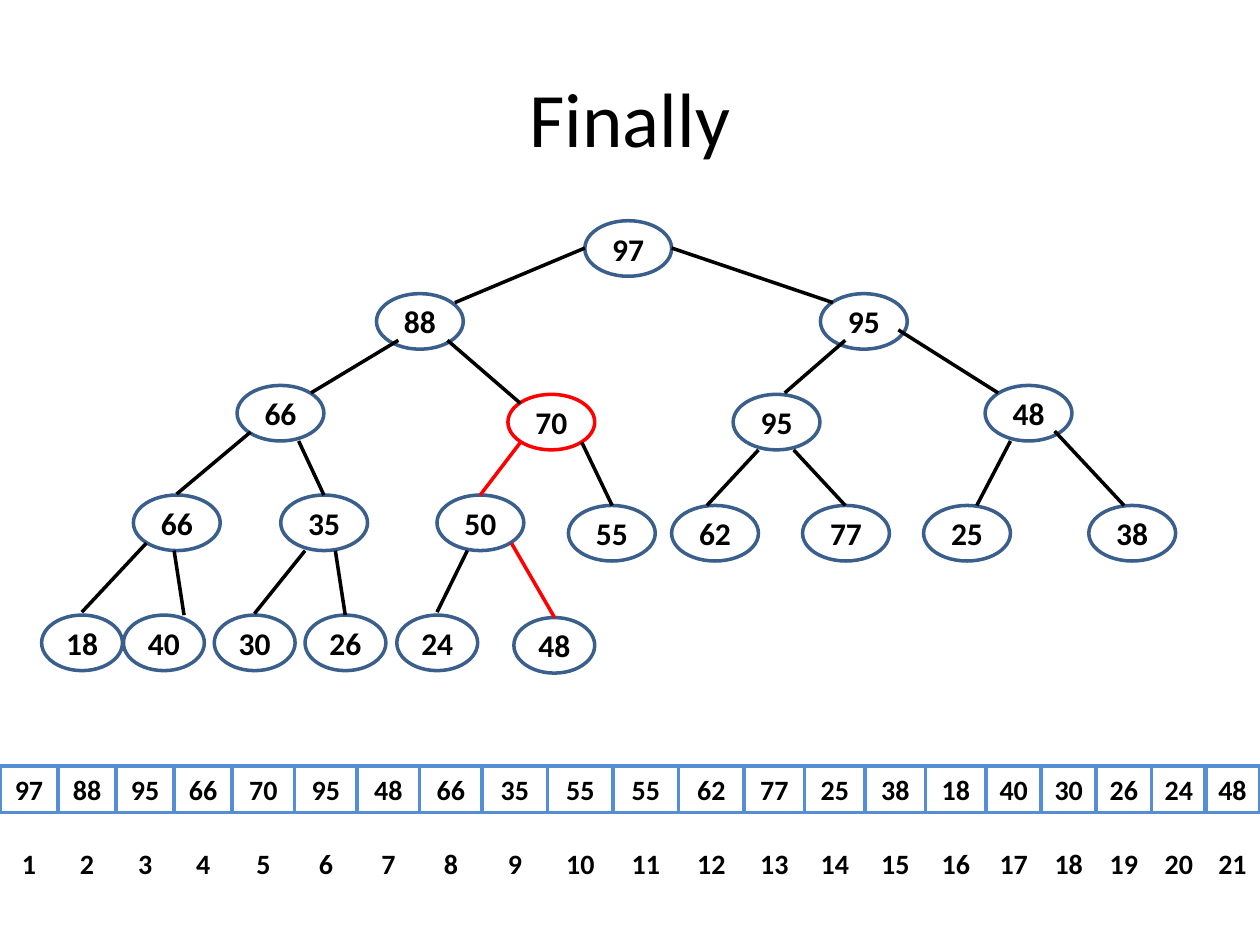
from pptx import Presentation, util as u
from pptx.dml.color import RGBColor
from pptx.enum import shapes, text
from pptx.oxml.ns import qn
from lxml import etree

TITLE = "Finally"
BLACK, WHITE, RED = "000000", "FFFFFF", "FF0000"
NODE_BLUE, CELL_BLUE = "3A5F8C", "558ED5"
SLIDE_WIDTH, SLIDE_HEIGHT = 25.4, 19.05
NODE_WIDTH, LEAF_WIDTH, NODE_HEIGHT = 1.75, 1.63, 1.12
CELL_HEIGHT = 0.94

HEAP = [97, 88, 95, 66, 70, 95, 48, 66, 35, 55, 55, 62, 77, 25, 38, 18, 40, 30, 26, 24, 48]
CELL_WIDTHS = [1.17] * 4 + [1.26] * 4 + [1.32] * 4 + [1.22] * 4 + [1.11] * 5
ROWS = [
    (15.44, CELL_BLUE, HEAP),
    (16.94, WHITE, range(1, len(HEAP) + 1)),
]

LEVELS = [
    (NODE_WIDTH, [(97, 11.79, 4.45)]),
    (NODE_WIDTH, [(88, 7.59, 5.92), (95, 16.54, 5.92)]),
    (NODE_WIDTH, [(66, 4.78, 7.77), (70, 10.24, 7.95), (95, 14.78, 7.95), (48, 19.86, 7.77)]),
    (NODE_WIDTH, [(66, 2.69, 9.98), (35, 5.66, 9.98), (50, 8.81, 9.98), (55, 11.46, 10.19),
                  (62, 13.54, 10.19), (77, 16.18, 10.19), (25, 18.62, 10.19), (38, 21.95, 10.19)]),
    (LEAF_WIDTH, [(18, 0.84, 12.4), (40, 2.49, 12.4), (30, 4.32, 12.4), (26, 6.15, 12.4),
                  (24, 8, 12.4), (48, 10.36, 12.45)]),
]
RED_NODES = {70}
BRANCHES = [
    (11.79, 5, 9.17, 6.1), (13.54, 5, 16.79, 6.1),
    (8.03, 6.86, 6.27, 7.92), (9.02, 6.86, 10.49, 8.13),
    (17.04, 6.86, 15.82, 7.92), (18.11, 6.65, 20.12, 7.92),
    (5.05, 8.71, 3.56, 9.96), (6.02, 8.89, 6.53, 9.98),
    (11.73, 8.92, 12.34, 10.19), (15.29, 9.07, 14.25, 10.19),
    (16, 9.07, 17.04, 10.19), (20.37, 8.89, 19.69, 10.19),
    (21.26, 8.69, 22.66, 10.19), (2.95, 10.95, 1.65, 12.34),
    (3.51, 11.1, 3.71, 12.4), (6.15, 11.1, 5.13, 12.37),
    (6.76, 11.1, 6.96, 12.4), (9.42, 11.1, 8.81, 12.34),
]
RED_BRANCHES = [(10.49, 8.92, 9.68, 9.98), (10.31, 10.95, 11.18, 12.45)]


def color(value):
    return RGBColor.from_string(value)


def write(frame, words, size, bold=False):
    frame.word_wrap = True
    paragraph = frame.paragraphs[0]
    paragraph.alignment = text.PP_ALIGN.CENTER
    run = paragraph.add_run()
    run.text = str(words)
    run.font.name, run.font.size, run.font.bold = "Calibri", u.Pt(size), bold
    run.font.color.rgb = color(BLACK)


def add_box(group, kind, box, line_color, words, size, anchor):
    shape = group.shapes.add_shape(kind, *map(u.Cm, box))
    shape.shadow.inherit = False
    shape.fill.background()
    shape.line.color.rgb = color(line_color)
    shape.line.width = u.Pt(2)
    shape.text_frame.vertical_anchor = anchor
    write(shape.text_frame, words, size, bold=True)
    return shape


def add_array(group):
    for top, line_color, values in ROWS:
        left = 0
        for value, width in zip(values, CELL_WIDTHS):
            box = (min(left, SLIDE_WIDTH - width), top, width, CELL_HEIGHT)
            cell = add_box(group, shapes.MSO_SHAPE.RECTANGLE, box, line_color, value, 16,
                           text.MSO_ANCHOR.TOP)
            cell.text_frame.auto_size = text.MSO_AUTO_SIZE.SHAPE_TO_FIT_TEXT
            left += width


def add_branch(group, ends, line_color):
    connector = group.shapes.add_connector(shapes.MSO_CONNECTOR.STRAIGHT, *map(u.Cm, ends))
    connector.line.color.rgb = color(line_color)
    connector.line.width = u.Pt(2)
    etree.SubElement(connector._element.spPr, qn("a:effectLst"))


def add_tree(group):
    for width, nodes in LEVELS:
        for value, left, top in nodes:
            line_color = RED if value in RED_NODES else NODE_BLUE
            add_box(group, shapes.MSO_SHAPE.OVAL, (left, top, width, NODE_HEIGHT), line_color,
                    value, 18, text.MSO_ANCHOR.MIDDLE)
    for line_color, branches in ((BLACK, BRANCHES), (RED, RED_BRANCHES)):
        for ends in branches:
            add_branch(group, ends, line_color)


def main():
    """Build the slide showing the finished heap as a tree and as an array."""
    presentation = Presentation()
    presentation.slide_width, presentation.slide_height = u.Cm(SLIDE_WIDTH), u.Cm(SLIDE_HEIGHT)
    slide = presentation.slides.add_slide(presentation.slide_layouts[5])
    title = slide.shapes.title
    title.left, title.top, title.width, title.height = map(u.Cm, (1.27, 0.76, 22.86, 3.18))
    title.text_frame.vertical_anchor = text.MSO_ANCHOR.MIDDLE
    write(title.text_frame, TITLE, 44)
    add_array(slide.shapes.add_group_shape())
    add_tree(slide.shapes.add_group_shape())
    presentation.save("out.pptx")


if __name__ == "__main__":
    main()
